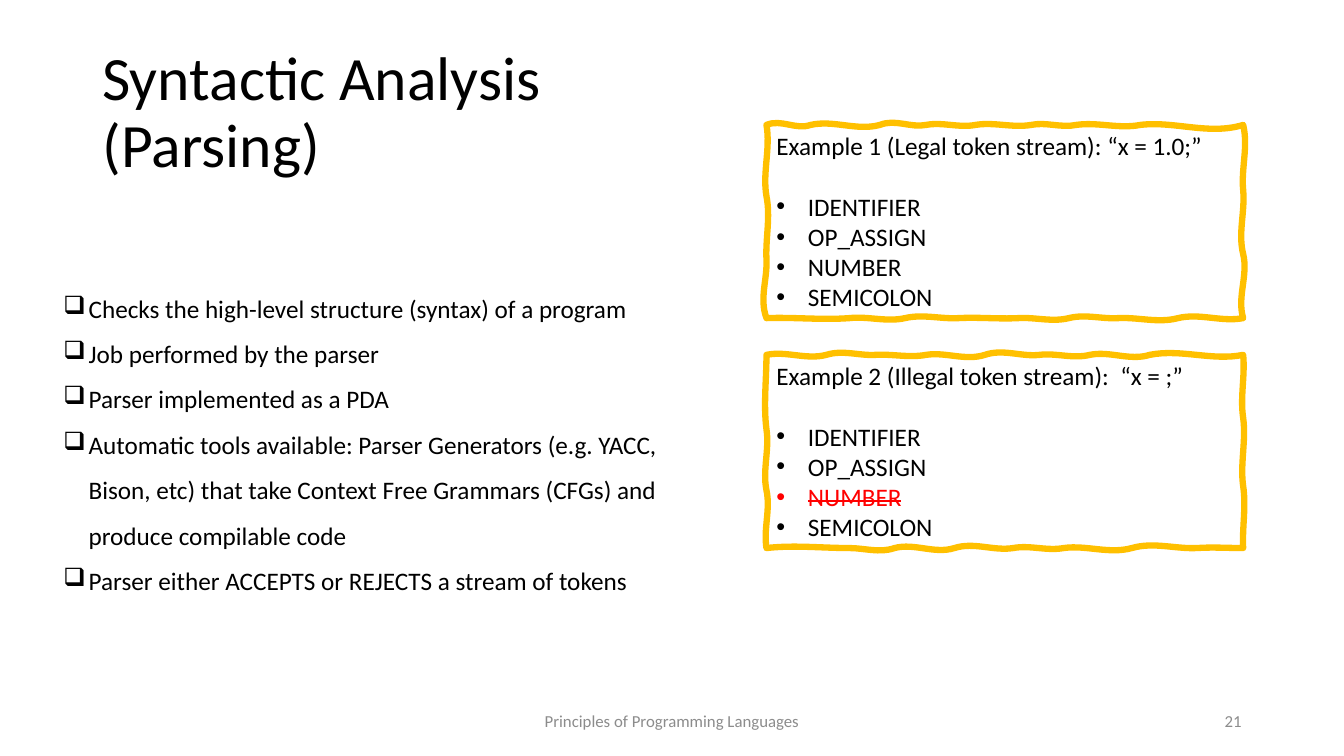
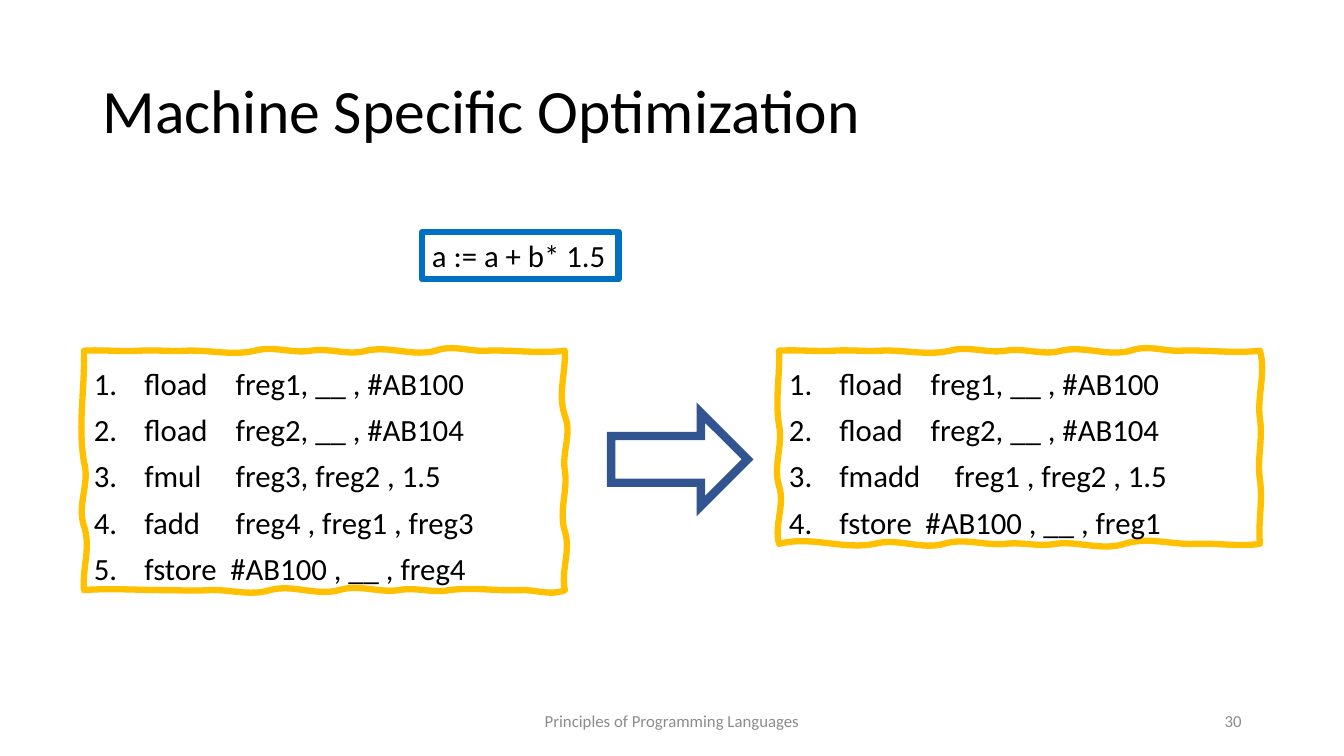
from lxml.etree import SubElement
from pptx import Presentation
from pptx.dml.color import RGBColor
from pptx.enum.shapes import MSO_SHAPE as SHAPE
from pptx.enum.text import MSO_ANCHOR as ANCHOR, MSO_AUTO_SIZE as FIT, PP_ALIGN as ALIGN
from pptx.oxml.ns import qn
from pptx.util import Pt

PX = 9525
FONT = "Calibri"
COURSE = "Principles of Programming Languages"
COLORS = {
    "text": "000000",
    "footer": "8C8C8C",
    "frame": "FFC000",
    "expression": "0070C0",
    "arrow": "325491",
    "error": "FF0000",
}
TOKENS = ["IDENTIFIER", "OP_ASSIGN", "NUMBER", "SEMICOLON"]
PARSING = [
    "Checks the high-level structure (syntax) of a program",
    "Job performed by the parser",
    "Parser implemented as a PDA",
    "Automatic tools available: Parser Generators (e.g. YACC, Bison, etc) "
    "that take Context Free Grammars (CFGs) and produce compilable code",
    "Parser either ACCEPTS or REJECTS a stream of tokens",
]
LOADS = ["fload\tfreg1, __ , #AB100", "fload\tfreg2, __ , #AB104"]
BEFORE = LOADS + [
    "fmul\tfreg3, freg2 , 1.5",
    "fadd\tfreg4 , freg1 , freg3",
    "fstore\t#AB100 , __ , freg4",
]
AFTER = LOADS + ["fmadd\tfreg1 , freg2 , 1.5", "fstore\t#AB100 , __ , freg1"]
OPERAND_STOPS = {"fstore": 82, "fmadd": 110}
OPERAND_STOP = 87

CODE_TOP = [(0, -1), (53, -1), (97, -1), (163, -5), (216, -3), (269, -5),
            (335, -6), (383, -1), (458, -3)]
WAVES = {
    "legal": (
        [(0, -6), (42, -5), (108, -6), (152, -3), (199, -3), (252, -3),
         (295, -3), (356, -4), (454, -10)],
        [(0, 5), (62, 2), (123, 5), (184, 6)],
        [(454, 4), (392, 5), (335, 1), (288, 4), (240, 1), (183, 1),
         (132, 4), (79, 2), (0, 1)],
        [(184, -7), (128, -1), (68, -4), (0, -4)],
    ),
    "illegal": (
        [(0, -4), (57, -5), (104, -1), (152, -3), (208, -6), (260, -2),
         (308, -4), (365, -6), (454, -6)],
        [(0, 2), (60, 3), (125, 3), (184, 1)],
        [(454, 0), (410, 1), (348, 6), (283, 3), (235, 3), (179, 6),
         (122, 5), (79, 0), (0, 3)],
        [(184, -3), (129, -4), (71, -3), (0, 0)],
    ),
    "before": (
        CODE_TOP,
        [(0, 1), (62, 7), (114, 3), (172, 6), (228, 4)],
        [(458, 6), (415, 1), (348, 3), (300, 3), (243, 6), (177, 6),
         (119, 1), (76, 0), (0, 2)],
        [(228, -2), (167, -7), (106, -6), (0, -1)],
    ),
    "after": (
        CODE_TOP,
        [(0, 6), (65, 3), (123, 3), (184, 2)],
        [(458, 3), (396, 1), (329, 7), (263, 3), (215, 2), (157, 6),
         (91, 6), (0, 8)],
        [(184, -5), (129, -6), (71, -4), (0, -1)],
    ),
}


def px(*lengths):
    return [round(length * PX) for length in lengths]


def color(name):
    return RGBColor.from_string(COLORS[name])


def write(frame, lines, size, ink="text", align=ALIGN.LEFT, spacing=None):
    frame.text = "\n".join(lines)
    for paragraph in frame.paragraphs:
        paragraph.alignment = align
        paragraph.line_spacing = spacing
        for run in paragraph.runs:
            run.font.name = FONT
            run.font.size = Pt(size)
            run.font.color.rgb = color(ink)


def mark(paragraph, indent, bullet=None, font=None):
    props = paragraph._p.get_or_add_pPr()
    props.set("marL", str(indent * PX))
    props.set("indent", str(-indent * PX))
    if bullet:
        SubElement(props, qn("a:buFont"), typeface=font)
        SubElement(props, qn("a:buChar"), char=bullet)
    else:
        SubElement(props, qn("a:buAutoNum"), type="arabicPeriod")
    return props


def outline(shape, ink, width):
    shape.shadow.inherit = False
    shape.fill.background()
    shape.line.color.rgb = color(ink)
    shape.line.width = Pt(width)


def add_text(slide, box, lines, size, anchor=ANCHOR.TOP, **style):
    frame = slide.shapes.add_textbox(*px(*box)).text_frame
    frame.word_wrap = True
    frame.vertical_anchor = anchor
    write(frame, lines, size, **style)
    return frame


def start_slide(deck, title, title_width, number):
    slide = deck.slides.add_slide(deck.slide_layouts[5])
    heading = slide.shapes.title
    heading.left, heading.top, heading.width, heading.height = px(88, 39, title_width, 139)
    frame = heading.text_frame
    frame.auto_size = FIT.NONE
    frame.vertical_anchor = ANCHOR.MIDDLE
    write(frame, [title], 44, spacing=0.9)
    footers = [(424, 432, COURSE, ALIGN.CENTER), (904, 288, str(number), ALIGN.RIGHT)]
    for left, width, text, align in footers:
        add_text(slide, (left, 667, width, 38), [text], 12, ANCHOR.MIDDLE,
                 ink="footer", align=align)
    return slide


def wavy_curves(width, height, sides):
    for side, (stops, edge) in enumerate(zip(sides, (0, width, height, 0))):
        for (start, bend), (end, next_bend) in zip(stops, stops[1:]):
            third = (end - start) / 3
            curve = [(start + third, edge + bend), (end - third, edge - next_bend), (end, edge)]
            yield [(across, along) for along, across in curve] if side % 2 else curve


def add_wavy_frame(slide, box, wave):
    left, top, width, height = box
    curves = list(wavy_curves(width, height, WAVES[wave]))
    builder = slide.shapes.build_freeform(*px(left, top), scale=1.0)
    builder.add_line_segments([px(left + x, top + y) for *_, (x, y) in curves], close=True)
    shape = builder.convert_to_shape()
    for segment, curve in zip(list(shape._element.iter(qn("a:lnTo"))), curves):
        segment.tag = qn("a:cubicBezTo")
        for _ in curve[1:]:
            SubElement(segment, qn("a:pt"))
        for point, position in zip(segment, curve):
            x, y = px(*position)
            point.set("x", str(x))
            point.set("y", str(y))
    outline(shape, "frame", 4.5)
    frame = shape.text_frame
    frame.word_wrap = True
    frame.vertical_anchor = ANCHOR.TOP
    return frame


def add_example(slide, top, heading, wave, missing=None):
    frame = add_wavy_frame(slide, (730, top, 454, 184), wave)
    write(frame, [heading] + TOKENS, 18)
    frame.paragraphs[0].space_after = Pt(22)
    for paragraph in frame.paragraphs[1:]:
        mark(paragraph, 30, "•", "Arial")
        if paragraph.text == missing:
            token = paragraph.runs[0]
            token.font.color.rgb = color("error")
            token._r.get_or_add_rPr().set("strike", "sngStrike")


def add_code(slide, left, height, instructions, wave):
    frame = add_wavy_frame(slide, (left, 334, 458, height), wave)
    write(frame, instructions, 22, spacing=1.25)
    for paragraph in frame.paragraphs:
        props = mark(paragraph, 48)
        opcode = paragraph.text.split("\t")[0]
        stop = 48 + OPERAND_STOPS.get(opcode, OPERAND_STOP)
        stops = SubElement(props, qn("a:tabLst"))
        SubElement(stops, qn("a:tab"), pos=str(stop * PX), algn="l")


def add_expression(slide, box, text):
    shape = slide.shapes.add_shape(SHAPE.RECTANGLE, *px(*box))
    outline(shape, "expression", 4.5)
    shape.text_frame.word_wrap = False
    write(shape.text_frame, [text], 22)


def add_arrow(slide, box):
    arrow = slide.shapes.add_shape(SHAPE.RIGHT_ARROW, *px(*box))
    outline(arrow, "arrow", 6)
    SubElement(arrow._element.spPr.find(qn("a:ln")), qn("a:miter"), lim="800000")


def build_parsing(deck):
    slide = start_slide(deck, "Syntactic Analysis (Parsing)", 552, 21)
    add_example(slide, 119, "Example 1 (Legal token stream): “x = 1.0;”", "legal")
    points = add_text(slide, (51, 260, 625, 310), PARSING, 18, spacing=1.5)
    for paragraph in points.paragraphs:
        mark(paragraph, 24, "q", "Wingdings")
    add_example(slide, 338, "Example 2 (Illegal token stream):  “x = ;”", "illegal", "NUMBER")


def build_optimization(deck):
    slide = start_slide(deck, "Machine Specific Optimization", 1104, 30)
    add_expression(slide, (402, 221, 187, 45), "a := a + b* 1.5")
    add_code(slide, 80, 228, BEFORE, "before")
    add_arrow(slide, (582, 393, 130, 89))
    add_code(slide, 742, 184, AFTER, "after")


def main():
    deck = Presentation()
    deck.slide_width, deck.slide_height = px(1280, 720)
    build_parsing(deck)
    build_optimization(deck)
    deck.save("out.pptx")


if __name__ == "__main__":
    main()
